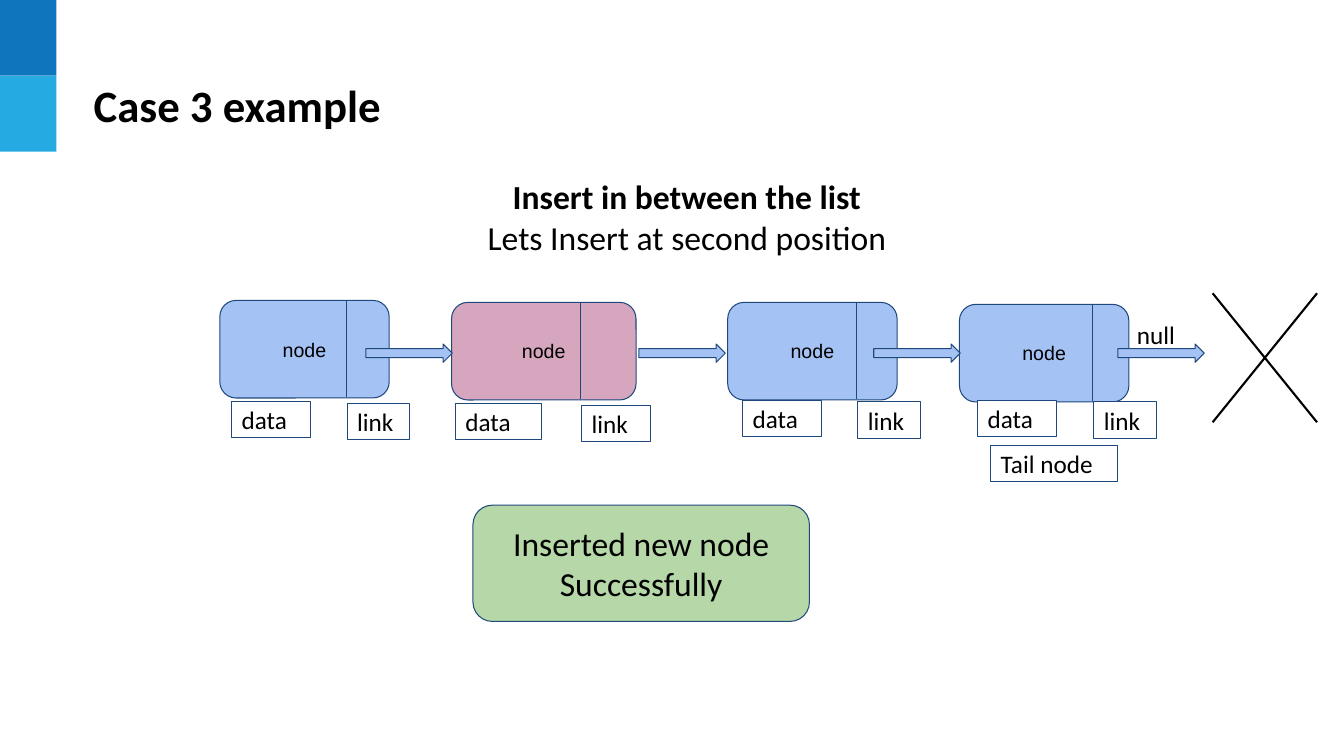
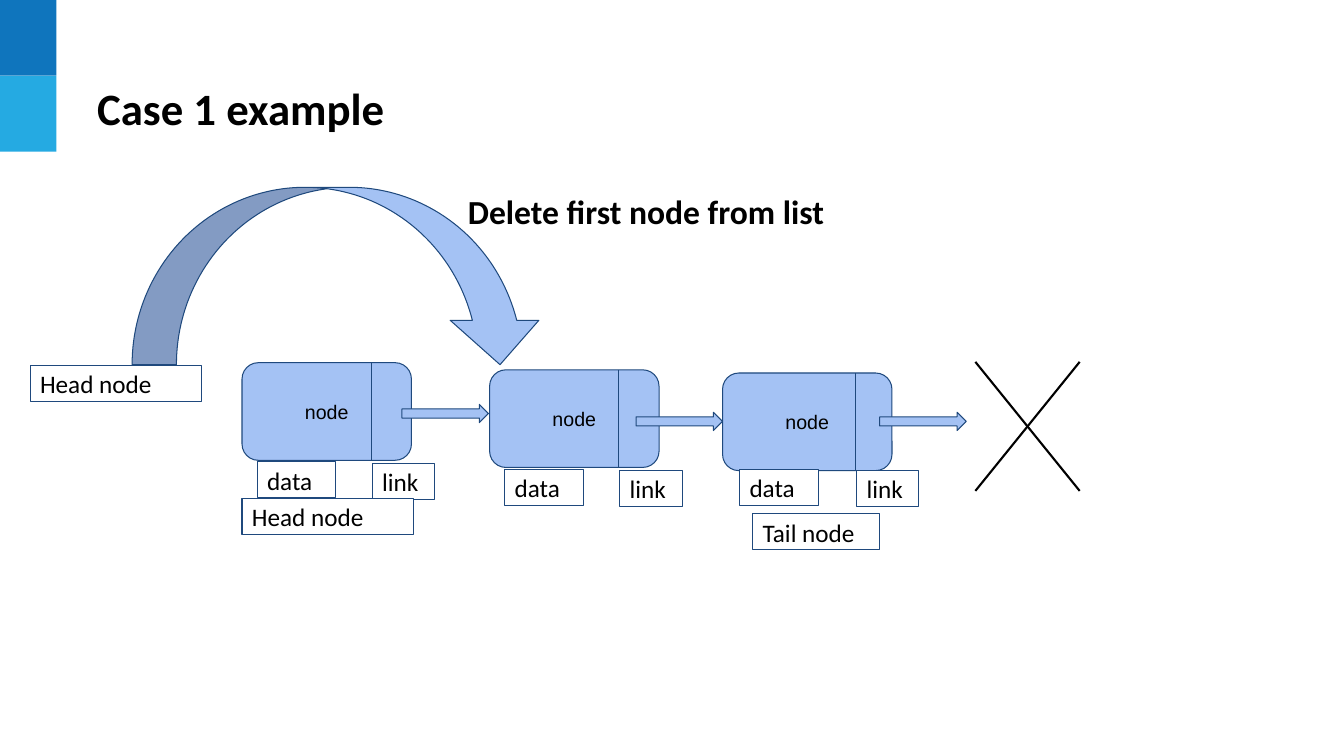
from pptx import Presentation
from pptx.dml.color import RGBColor
from pptx.enum.shapes import MSO_CONNECTOR, MSO_SHAPE
from pptx.enum.text import MSO_ANCHOR, PP_ALIGN
from pptx.oxml import parse_xml
from pptx.util import Cm, Pt

RECT, ROUND = MSO_SHAPE.RECTANGLE, MSO_SHAPE.ROUNDED_RECTANGLE
ARROW, CURVE = MSO_SHAPE.RIGHT_ARROW, MSO_SHAPE.CURVED_DOWN_ARROW
LINE = MSO_CONNECTOR.STRAIGHT
MID, TOP = MSO_ANCHOR.MIDDLE, MSO_ANCHOR.TOP
LEFT, CENTER = PP_ALIGN.LEFT, PP_ALIGN.CENTER

BLACK = RGBColor(0x00, 0x00, 0x00)
WHITE = RGBColor(0xFF, 0xFF, 0xFF)
NAVY = RGBColor(0x1F, 0x49, 0x7D)
DARK = RGBColor(0x0F, 0x75, 0xBD)
SKY = RGBColor(0x25, 0xAA, 0xE2)
BLUE = RGBColor(0xA4, 0xC2, 0xF4)
PINK = RGBColor(0xD5, 0xA6, 0xBD)
GREEN = RGBColor(0xB6, 0xD7, 0xA8)

# Text styles
HEAD = {"name": "Calibri", "size": Pt(32), "bold": True}
LEAD = {"name": "Calibri", "size": Pt(24), "bold": True}
BODY = {"name": "Calibri", "size": Pt(24), "bold": False}
TAG = {"name": "Calibri", "size": Pt(18), "bold": False}
NODE = {"name": "Arial", "size": Pt(14), "bold": False}

# Sizes in centimetres
NODE_W, NODE_H = 4.27, 2.46
TAG_H = 0.91
DATA_W, LINK_W = 1.98, 1.57
EFFECT = ('<a:effectLst xmlns:a='
          '"http://schemas.openxmlformats.org/drawingml/2006/main"/>')


def write(shape, lines, align=LEFT, anchor=MID, pad=0.25):
    """Fill a shape with (text, style) paragraphs."""
    frame = shape.text_frame
    form = {"word_wrap": True, "vertical_anchor": anchor,
            "margin_left": Cm(0.25), "margin_right": Cm(0.25),
            "margin_top": Cm(pad), "margin_bottom": Cm(pad)}
    for key, value in form.items():
        setattr(frame, key, value)
    for i, (text, style) in enumerate(lines):
        para = frame.add_paragraph() if i else frame.paragraphs[0]
        para.alignment = align
        run = para.add_run()
        run.text = text
        for key, value in style.items():
            setattr(run.font, key, value)
        run.font.color.rgb = BLACK


def add_text(slide, box, lines, **form):
    write(slide.shapes.add_textbox(*map(Cm, box)), lines, **form)


def add_box(slide, kind, box, fill, edge=NAVY):
    shape = slide.shapes.add_shape(kind, *map(Cm, box))
    shape.shadow.inherit = False
    shape.fill.solid()
    shape.fill.fore_color.rgb = fill
    if edge is None:
        shape.line.fill.background()
    else:
        shape.line.color.rgb = edge
        shape.line.width = Pt(0.75)
    return shape


def add_line(slide, ends, color=NAVY, width=0.75):
    line = slide.shapes.add_connector(LINE, *map(Cm, ends))
    line.line.color.rgb = color
    line.line.width = Pt(width)
    line._element.spPr.append(parse_xml(EFFECT))


def add_tag(slide, text, x, y, width, edge=NAVY):
    box = add_box(slide, RECT, (x, y, width, TAG_H), WHITE, edge)
    write(box, [(text, TAG)])


def add_node(slide, x, y, split=3.25, data=0.38, drop=2.54, fill=BLUE,
             width=NODE_W, data_w=DATA_W, link_w=LINK_W):
    """Draw a list node, its divider and the two field tags below it."""
    box = add_box(slide, ROUND, (x, y, width, NODE_H), fill)
    write(box, [("node", NODE)], align=CENTER)
    add_line(slide, (x + split, y, x + split, y + NODE_H - 0.02))
    add_tag(slide, "link", x + split + 0.03, y + drop, link_w)
    add_tag(slide, "data", x + data, y + drop - 0.04, data_w)


def add_arrow(slide, x, y):
    add_box(slide, ARROW, (x, y, 2.18, 0.46), BLUE)


def add_cross(slide, x, y):
    """Mark the end of the list."""
    right, low = x + 2.63, y + 3.25
    add_line(slide, (right, y, x, low), BLACK, 1.5)
    add_line(slide, (right, low, x, y), BLACK, 1.5)


def add_slide(prs, title, x, y):
    """Start a slide with the corner bands and the title."""
    slide = prs.slides.add_slide(prs.slide_layouts[6])
    for i, fill in enumerate((DARK, SKY)):
        add_box(slide, RECT, (0, i * 1.91, 1.42, 1.91), fill, None)
    add_text(slide, (x, y, 23.8, 2.29), [(title, HEAD)], pad=0.13)
    return slide


def add_insert(prs):
    slide = add_slide(prs, "Case 3 example", 2.11, 1.5)
    add_text(slide, (4.42, 4.19, 25.78, 2.57),
             [("Insert in between the list", LEAD),
              ("Lets Insert at second position", BODY)],
             align=CENTER, anchor=TOP)
    done = add_box(slide, ROUND, (11.92, 12.73, 8.48, 2.93), GREEN)
    write(done, [("Inserted new node Successfully", BODY)], align=CENTER)

    # List with the new node in second place
    add_tag(slide, "null", 28.4, 7.98, LINK_W, WHITE)
    add_node(slide, 5.54, 7.57, split=3.18, data=0.3, drop=2.59)
    add_node(slide, 11.38, 7.62, data=0.1, drop=2.59, fill=PINK,
             width=4.65, data_w=2.16, link_w=1.73)
    add_node(slide, 18.34, 7.62, drop=2.51)
    add_node(slide, 24.18, 7.67, split=3.36, data=0.46, drop=2.46)
    add_tag(slide, "Tail node", 24.97, 11.23, 3.2)
    for x in (9.22, 16.1, 22.02, 28.17):
        add_arrow(slide, x, 8.67)
    add_cross(slide, 30.56, 7.39)


def add_delete(prs):
    slide = add_slide(prs, "Case 1 example", 2.2, 1.57)
    add_text(slide, (10.59, 4.57, 11.38, 1.55),
             [("Delete first node from list", LEAD)],
             align=CENTER, anchor=TOP)
    add_box(slide, CURVE, (3.33, 4.72, 10.39, 4.47), BLUE)

    # List with the head moving on to the second node
    add_node(slide, 6.1, 9.14)
    add_node(slide, 12.34, 9.32)
    add_node(slide, 18.21, 9.4, split=3.35, data=0.43, drop=2.46)
    for x, y in ((10.13, 10.19), (16.03, 10.39), (22.17, 10.39)):
        add_arrow(slide, x, y)
    add_cross(slide, 24.58, 9.12)
    add_tag(slide, "Tail node", 18.97, 12.95, 3.2)
    for x, y in ((0.76, 9.22), (6.1, 12.57)):
        add_tag(slide, "Head node", x, y, 4.32)


def main():
    prs = Presentation()
    prs.slide_width, prs.slide_height = Cm(33.87), Cm(19.05)
    add_insert(prs)
    add_delete(prs)
    prs.save("out.pptx")


if __name__ == "__main__":
    main()
